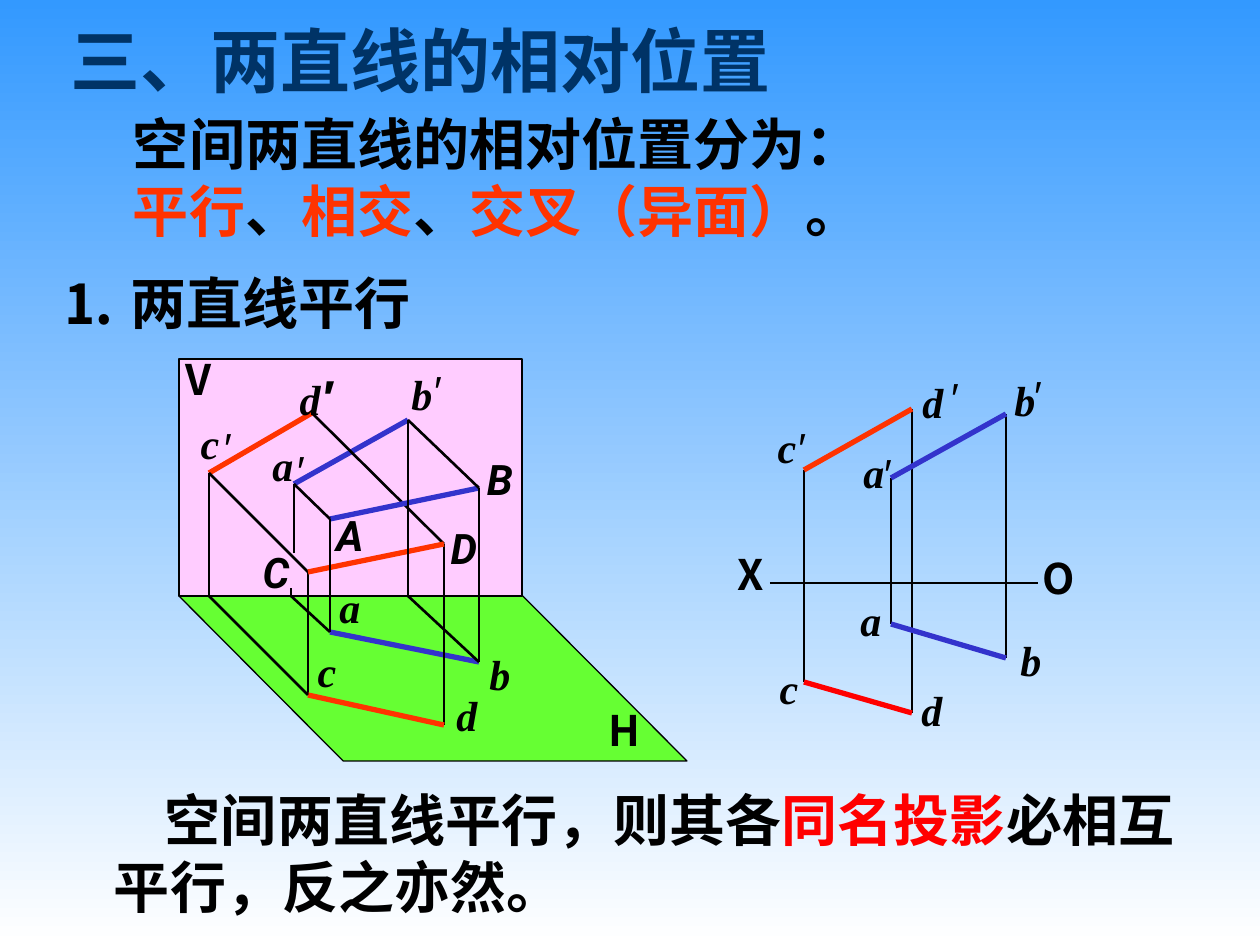
from dataclasses import dataclass

from lxml.etree import SubElement
from pptx import Presentation
from pptx.dml.color import RGBColor
from pptx.enum.shapes import MSO_CONNECTOR as Link, MSO_SHAPE as Shape
from pptx.enum.text import MSO_ANCHOR as Anchor, PP_ALIGN as Align
from pptx.oxml.ns import qn
from pptx.util import Emu, Pt


@dataclass(frozen=True)
class Theme:
    sky: str = "3399FF"
    white: str = "FFFFFF"
    navy: str = "003366"
    ink: str = "000000"
    orange: str = "FF3300"
    red: str = "FF0000"
    blue: str = "3333CC"
    pink: str = "FFCCFF"
    green: str = "66FF33"
    serif: str = "Times New Roman"
    sans: str = "Arial"
    cjk: str = "Noto Sans CJK SC"
    round: str = "Roboto"
    title: int = 40
    body: int = 32
    prime: int = 28
    label: int = 24
    thick: float = 3
    thin: float = 1.5
    edge: float = 0.75


T = Theme()


def px(n):
    return Emu(round(n * 914400 / 126))


def rgb(code):
    return RGBColor.from_string(code)


def text(slide, box, paras, size=T.body, font=T.serif, color=T.ink, bold=True,
         italic=False, align=Align.LEFT, anchor=Anchor.MIDDLE, pad=(13, 6),
         wrap=True, indent=0, east=T.cjk):
    """Place paragraphs; each is a list of runs (words, format changes)."""
    frame = slide.shapes.add_textbox(*map(px, box)).text_frame
    frame.word_wrap = wrap
    frame.vertical_anchor = anchor
    frame.margin_left = frame.margin_right = px(pad[0])
    frame.margin_top = frame.margin_bottom = px(pad[1])
    base = dict(size=size, font=font, color=color, bold=bold, italic=italic)
    for i, runs in enumerate(paras):
        para = frame.add_paragraph() if i else frame.paragraphs[0]
        para.alignment = align
        if indent:
            para._p.get_or_add_pPr().set("indent", str(px(indent)))
        for words, change in runs:
            look = base | change
            run = para.add_run()
            run.text = words
            face = run.font
            face.size = Pt(look["size"])
            face.bold, face.italic = look["bold"], look["italic"]
            face.color.rgb = rgb(look["color"])
            face.name = look["font"]
            SubElement(run._r.get_or_add_rPr(), qn("a:ea"),
                       typeface=east or look["font"])


def label(slide, box, x, y, runs, **look):
    """Center a short mark on x with its top at y inside the box."""
    look = dict(size=T.label, align=Align.CENTER, anchor=Anchor.TOP,
                pad=(0, 0), wrap=False, east=None) | look
    text(slide, (box[0] + x - 20, box[1] + y, 40, 50), [runs], **look)


def marks(slide, box, rows, **look):
    for name, x, y in rows:
        label(slide, box, x, y, [(name, {})], **look)


def primes(slide, box, spots):
    marks(slide, box, [("′", x, y) for x, y in spots], font=T.sans, bold=False)


def lines(slide, box, spots, pairs, color=T.ink, width=T.thin):
    """Join named points, given as pairs of names."""
    for pair in pairs:
        ends = [px(box[k] + spots[name][k]) for name in pair.split() for k in (0, 1)]
        line = slide.shapes.add_connector(Link.STRAIGHT, *ends)
        line.line.color.rgb = rgb(color)
        line.line.width = Pt(width)
        SubElement(line._element.spPr, qn("a:effectLst"))


def plane(slide, kind, box, fill):
    shape = slide.shapes.add_shape(kind, *map(px, box))
    shape.shadow.inherit = False
    shape.fill.solid()
    shape.fill.fore_color.rgb = rgb(fill)
    shape.line.color.rgb = rgb(T.ink)
    shape.line.width = Pt(T.edge)
    return shape


def space(slide, box):
    """Two parallel lines in space with their traces on planes V and H."""
    left, top, width, height = box
    fold = 237
    floor = plane(slide, Shape.PARALLELOGRAM,
                  (left, top + fold, width, height - fold), T.green)
    floor.adjustments[0] = 0.995
    floor._element.spPr.xfrm.set("flipH", "1")
    plane(slide, Shape.RECTANGLE, (left, top, 343, fold), T.pink)

    spots = {
        "A": (151, 160), "B": (300, 129), "C": (129, 213), "D": (265, 185),
        "a": (151, 273), "b": (300, 303), "c": (129, 336), "d": (265, 366),
        "a′": (115, 125), "b′": (229, 61), "c′": (30, 114), "d′": (133, 54),
        "a0": (112, fold), "b0": (229, fold), "c0": (30, fold),
        "stop": (115, 194), "tick": (112, 229),
    }
    lines(slide, box, spots, ["a′ b′", "a b"], T.blue, T.thick)
    lines(slide, box, spots, ["c′ d′"], T.orange, T.thick)
    lines(slide, box, spots, ["d′ D"])
    lines(slide, box, spots, ["A B"], T.blue, T.thick)
    lines(slide, box, spots, ["b′ B", "d D", "C c", "c′ C"])
    lines(slide, box, spots, ["c d", "C D"], T.orange, T.thick)
    lines(slide, box, spots, ["b B", "a′ A", "a A", "b′ b0", "b0 b", "c′ c0",
                              "c0 c", "a′ stop", "a a0", "a0 tick"])

    marks(slide, box, [("a", 171, 223), ("b", 321, 290), ("c", 148, 287),
                       ("d", 288, 331), ("a", 104, 81), ("b", 243, 10),
                       ("c", 31, 59)], italic=True)
    marks(slide, box, [("A", 171, 151), ("B", 321, 95), ("C", 97, 188),
                       ("D", 285, 164)], font=T.round, italic=True)
    marks(slide, box, [("V", 20, -5), ("H", 445, 346)], font=T.cjk)
    label(slide, box, 137, 8,
          [("d", {}), ("′", dict(size=T.prime, font=T.sans))], italic=True)
    primes(slide, box, [(122, 86), (259, 6), (49, 63)])


def views(slide, box):
    """The same lines as two flat views about the axis XO."""
    spots = {
        "X": (33, 219), "O": (301, 219),
        "a": (154, 260), "b": (269, 294), "c": (67, 318), "d": (175, 349),
        "a′": (154, 114), "b′": (269, 50), "c′": (67, 106), "d′": (175, 45),
    }
    lines(slide, box, spots, ["X O", "c′ c", "a′ a", "d′ d", "b′ b"])
    lines(slide, box, spots, ["c′ d′"], T.orange, T.thick)
    lines(slide, box, spots, ["a′ b′", "a b"], T.blue, T.thick)
    lines(slide, box, spots, ["c d"], T.red, T.thick)

    marks(slide, box, [("a", 134, 231), ("b", 294, 271), ("c", 52, 299),
                       ("d", 195, 321), ("a", 137, 83), ("b", 288, 11),
                       ("d", 196, 13)], italic=True)
    label(slide, box, 54, 58,
          [("c", {}), ("′", dict(font=T.sans, bold=False))], italic=True)
    marks(slide, box, [("X", 14, 185), ("O", 322, 189)], font=T.cjk)
    primes(slide, box, [(151, 84), (301, 6), (218, 8)])


def intro(slide, box):
    left, top, width, _ = box
    hot = dict(color=T.orange)
    text(slide, (left + 9, top, width, 97), [[("三、两直线的相对位置", {})]],
         size=T.title, color=T.navy)
    text(slide, (left + 71, top + 92, 861, 147), [
        [("空间两直线的相对位置分为：", {})],
        [("平行", hot), ("、", {}), ("相交", hot), ("、", {}),
         ("交叉（异面）", hot), ("。", {})],
    ])
    text(slide, (left, top + 251, 465, 81), [[("⒈ 两直线平行", {})]], font=T.cjk)


def rule(slide, box):
    text(slide, box, [[("空间两直线平行，则其各", {}),
                       ("同名投影", dict(color=T.red)),
                       ("必相互平行，反之亦然。", {})]], indent=51)


def main():
    deck = Presentation()
    deck.slide_width, deck.slide_height = px(1260), px(945)
    slide = deck.slides.add_slide(deck.slide_layouts[6])
    fill = slide.background.fill
    fill.gradient()
    fill.gradient_angle = 270
    for stop, color in zip(fill.gradient_stops, (T.sky, T.white)):
        stop.color.rgb = rgb(color)
    intro(slide, (49, 11, 932, 332))
    space(slide, (179, 359, 508, 402))
    views(slide, (737, 364, 339, 372))
    rule(slide, (101, 779, 1087, 147))
    deck.save("out.pptx")


if __name__ == "__main__":
    main()
